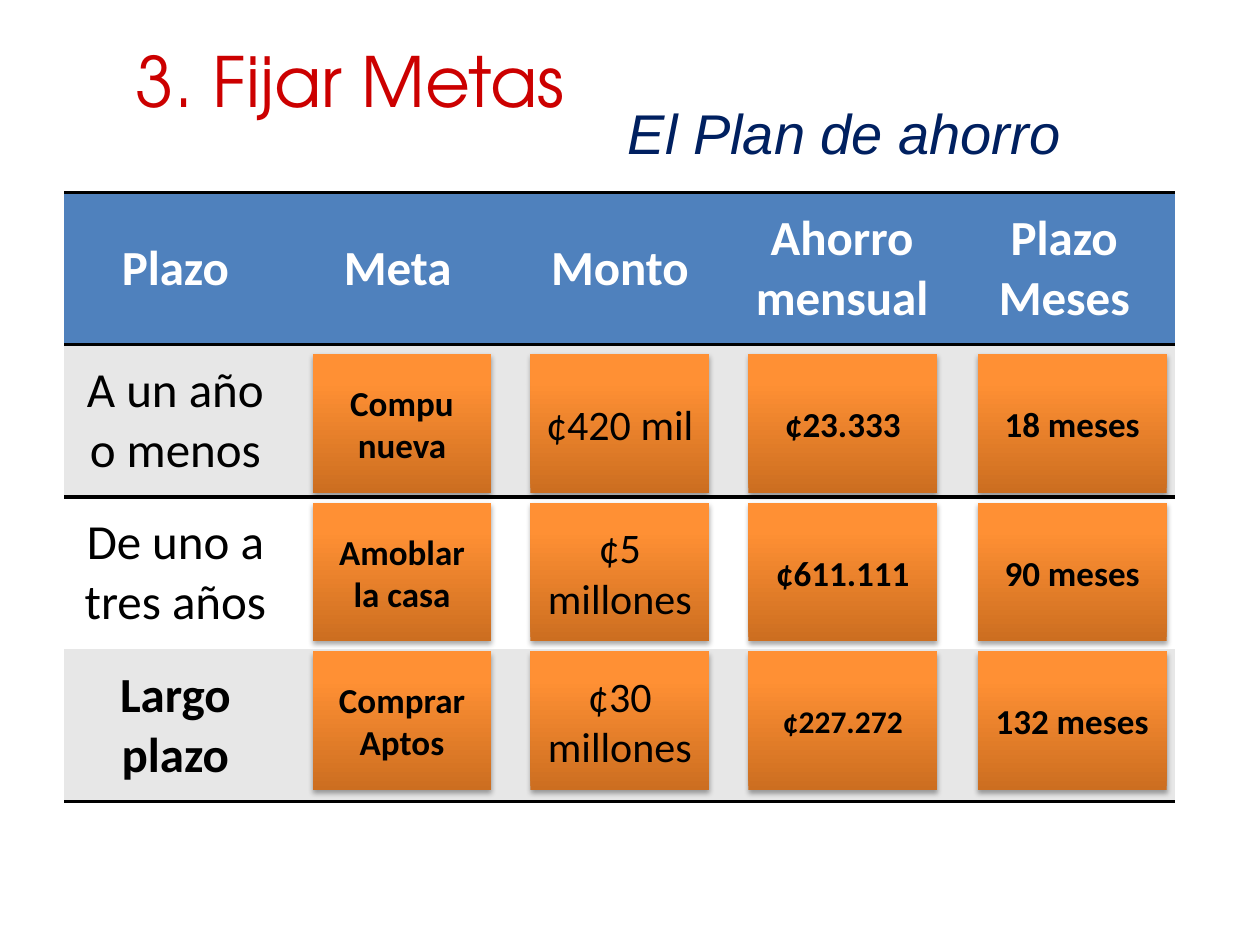
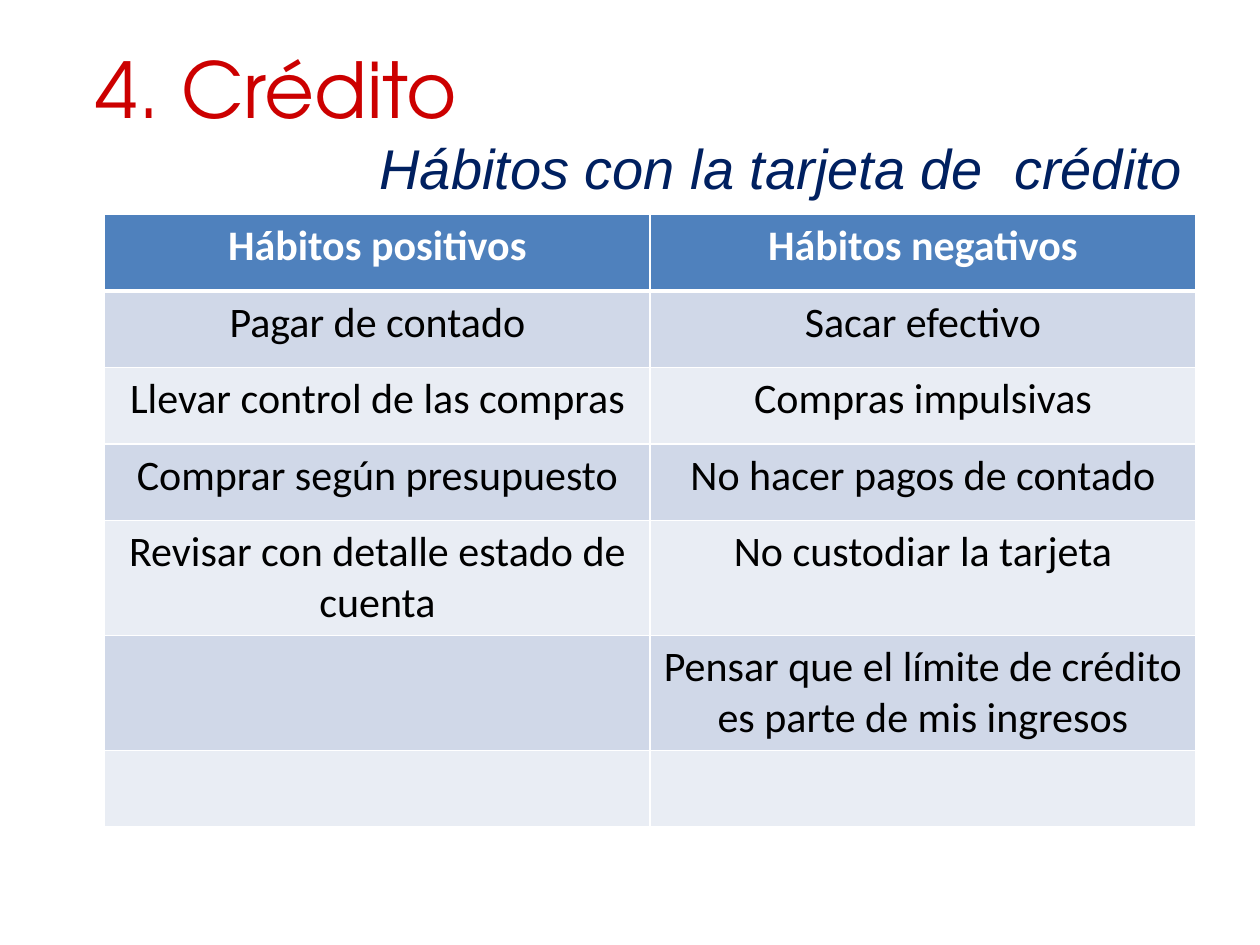
import pptx
import pptx.util
import pptx.dml.color
import pptx.enum.text
import pptx.enum.shapes
import pptx.oxml.ns
import copy
import lxml.etree

Pt = pptx.util.Pt
RGB = pptx.dml.color.RGBColor.from_string
ALIGN = pptx.enum.text.PP_ALIGN
MIDDLE = pptx.enum.text.MSO_ANCHOR.MIDDLE
qn = pptx.oxml.ns.qn

COLOURS = {
    "title": "CC0000",
    "subtitle": "002060",
    "header": "4F81BD",
    "grey_band": "E7E7E7",
    "dark_band": "D0D8E8",
    "light_band": "E9EDF4",
    "card_bottom": "CC6E20",
    "card_middle": "FF9034",
    "card_top": "FF9136",
    "white": "FFFFFF",
    "black": "000000",
}
NO_STYLE = "{2D5ABB26-0587-4C30-8999-92F81FD0307C}"


def write(frame, text, size, colour, font="Calibri", bold=False, italic=False, align=ALIGN.CENTER):
    frame.text = text
    frame.word_wrap = True
    for paragraph in frame.paragraphs:
        paragraph.alignment = align
        paragraph.font.size = Pt(size)
        paragraph.font.name = font
        paragraph.font.bold = bold
        paragraph.font.italic = italic
        paragraph.font.color.rgb = RGB(COLOURS[colour])


def fill_cell(cell, colour, borders):
    cell.fill.solid()
    cell.fill.fore_color.rgb = RGB(COLOURS[colour])
    properties = cell._tc.get_or_add_tcPr()
    for position, side in enumerate(side for side in "LRTB" if side in borders):
        line_colour, width = borders[side]
        line = lxml.etree.Element(qn(f"a:ln{side}"), w=str(Pt(width)))
        solid = lxml.etree.SubElement(line, qn("a:solidFill"))
        lxml.etree.SubElement(solid, qn("a:srgbClr"), val=COLOURS[line_colour])
        properties.insert(position, line)


presentation = pptx.Presentation()
presentation.slide_width = Pt(720)
presentation.slide_height = Pt(540)

headings = [
    ("3. Fijar Metas", 39.6, (70.5, 15, 294.5, 61), "El Plan de ahorro", (199.5, 54.7, 414, 42)),
    ("4. Crédito", 44, (47.5, 5, 648, 90), "Hábitos con la tarjeta de  crédito", (201.5, 74.2, 482, 42)),
]
slides = []
for title_text, title_size, title_box, subtitle_text, subtitle_box in headings:
    slide = presentation.slides.add_slide(presentation.slide_layouts[5])
    title = slide.shapes.title
    title.left, title.top, title.width, title.height = map(Pt, title_box)
    write(title.text_frame, title_text, title_size, "title", "TeX Gyre Adventor", align=ALIGN.LEFT)
    subtitle = slide.shapes.add_textbox(*map(Pt, subtitle_box))
    write(subtitle.text_frame, subtitle_text, 32, "subtitle", "Arial", italic=True, align=ALIGN.RIGHT)
    for heading in (title, subtitle):
        heading.text_frame.auto_size = pptx.enum.text.MSO_AUTO_SIZE.NONE
        heading.text_frame.vertical_anchor = MIDDLE
    slides.append(slide)
goals_slide, credit_slide = slides

goals_header = ["Plazo", "Meta", "Monto", "Ahorro mensual", "Plazo\nMeses"]
goals = [
    ("A un año o menos", ["Compu nueva", "¢420 mil", "¢23.333", "18 meses"]),
    ("De uno a tres años", ["Amoblar la casa", "¢5 millones", "¢611.111", "90 meses"]),
    ("Largo plazo", ["Comprar Aptos", "¢30 millones", "¢227.272", "132 meses"]),
]
plan = goals_slide.shapes.add_table(4, 5, Pt(36.7), Pt(110), Pt(635), Pt(348)).table
plan._tbl.tblPr.find(qn("a:tableStyleId")).text = NO_STYLE
plan_rows = [goals_header] + [[term] + [""] * 4 for term, _ in goals]
plan_bands = ["header", "grey_band", "white", "grey_band"]
rule = ("black", 2)
plan_borders = [{"T": rule, "B": rule}, {"T": rule}, {}, {"B": rule}]
for row, texts in enumerate(plan_rows):
    for column, text in enumerate(texts):
        cell = plan.cell(row, column)
        fill_cell(cell, plan_bands[row], plan_borders[row])
        cell.vertical_anchor = MIDDLE
        write(cell.text_frame, text, 28, "white" if row == 0 else "black", bold=row in (0, 3))

card_columns = [(178.6, 102.2, 20), (303.1, 102.2, 24), (427.7, 108, 20), (558.7, 108, 20)]
for row, (term, values) in enumerate(goals):
    for value, (left, width, size) in zip(values, card_columns):
        card = goals_slide.shapes.add_shape(
            pptx.enum.shapes.MSO_SHAPE.RECTANGLE, Pt(left), Pt(202.3 + 85 * row), Pt(width), Pt(79.2))
        card.line.fill.background()
        card.fill.gradient()
        card.fill.gradient_angle = 90
        stop_list = card._element.spPr.find(".//" + qn("a:gsLst"))
        stop_list.append(copy.deepcopy(stop_list[-1]))
        stops = zip(card.fill.gradient_stops, (0, 0.8, 1), ("card_bottom", "card_middle", "card_top"))
        for stop, position, colour in stops:
            stop.position = position
            stop.color.rgb = RGB(COLOURS[colour])
        card.shadow.inherit = False
        effects = card._element.spPr.find(qn("a:effectLst"))
        shadow = lxml.etree.SubElement(
            effects, qn("a:outerShdw"), blurRad=str(Pt(3.1)), dist=str(Pt(1.8)), dir="5400000", rotWithShape="0")
        shade = lxml.etree.SubElement(shadow, qn("a:srgbClr"), val=COLOURS["black"])
        lxml.etree.SubElement(shade, qn("a:alpha"), val="35000")
        card.text_frame.vertical_anchor = MIDDLE
        write(card.text_frame, value, 18 if value == "¢227.272" else size, "black", bold=size == 20)

habits = [
    ("Hábitos positivos", "Hábitos negativos"),
    ("Pagar de contado", "Sacar efectivo"),
    ("Llevar control de las compras", "Compras impulsivas"),
    ("Comprar según presupuesto", "No hacer pagos de contado"),
    ("Revisar con detalle estado de cuenta", "No custodiar la tarjeta"),
    ("", "Pensar que el límite de crédito es parte de mis ingresos"),
    ("", ""),
]
habit_table = credit_slide.shapes.add_table(7, 2, Pt(59.8), Pt(122.5), Pt(623.5), Pt(306)).table
habit_table._tbl.tblPr.find(qn("a:tableStyleId")).text = NO_STYLE
for row, pair in enumerate(habits):
    band = "header" if row == 0 else ("light_band", "dark_band")[row % 2]
    borders = {side: ("white", 1) for side in "LRTB"}
    if row == 0:
        borders["B"] = ("white", 3)
    elif row == 1:
        borders["T"] = ("white", 3)
    for column, habit in enumerate(pair):
        cell = habit_table.cell(row, column)
        fill_cell(cell, band, borders)
        write(cell.text_frame, habit, 24, "white" if row == 0 else "black", bold=row == 0)

presentation.save("out.pptx")
